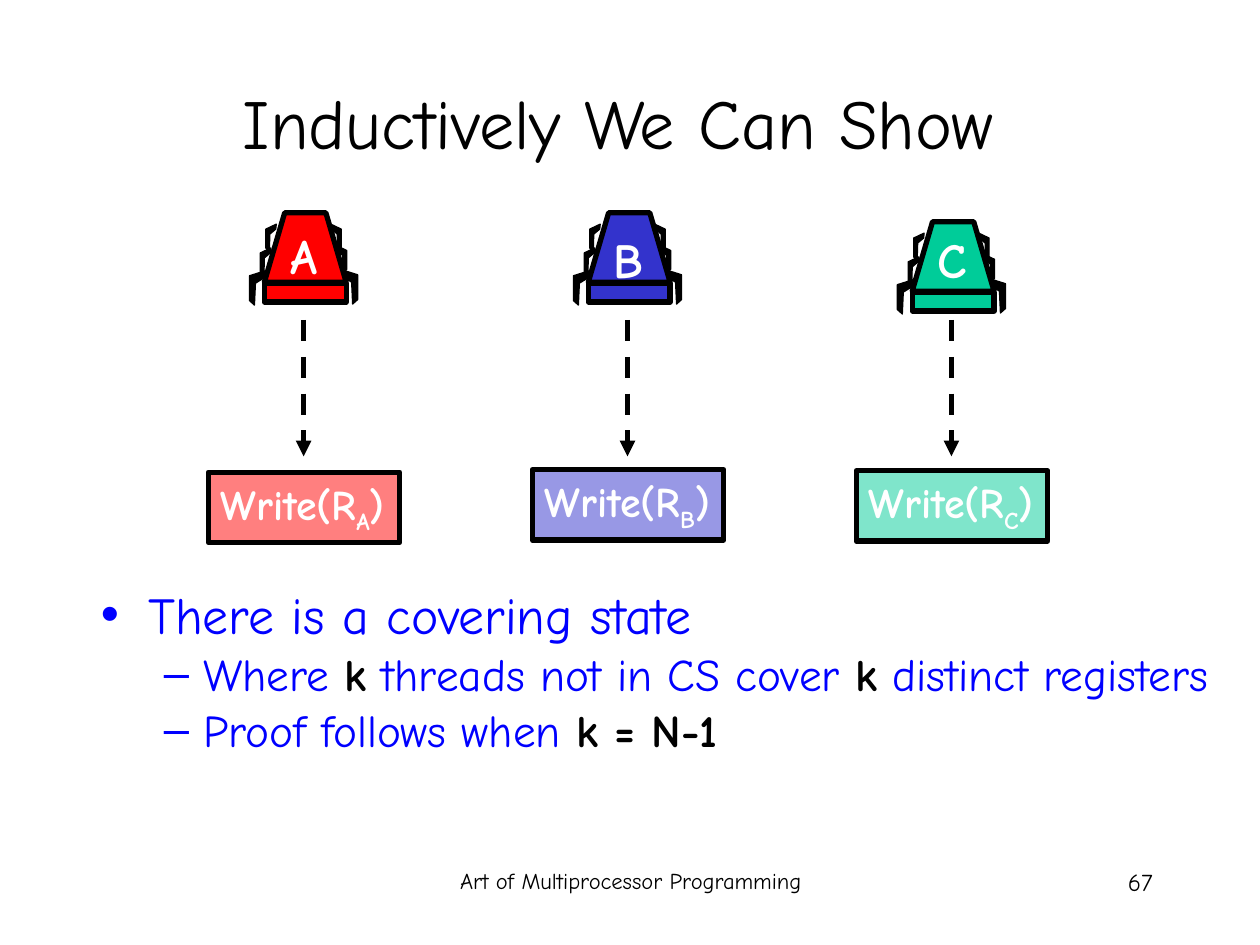
"""Build the slide on the inductive covering-state argument."""
from lxml.etree import SubElement
from pptx import Presentation
from pptx.dml.color import RGBColor
from pptx.enum.dml import MSO_LINE
from pptx.enum.shapes import MSO_CONNECTOR, MSO_SHAPE
from pptx.enum.text import MSO_ANCHOR, MSO_AUTO_SIZE, PP_ALIGN
from pptx.oxml.ns import qn
from pptx.util import Cm, Pt

FONT = "Comic Neue"
BLACK = RGBColor(0x00, 0x00, 0x00)
WHITE = RGBColor(0xFF, 0xFF, 0xFF)
BLUE = RGBColor(0x00, 0x00, 0xFF)
RED = RGBColor(0xFF, 0x00, 0x00)
INDIGO = RGBColor(0x33, 0x33, 0xCC)
GREEN = RGBColor(0x00, 0xCC, 0x99)


def add_run(paragraph, text, size, color, bold=False):
    run = paragraph.add_run()
    run.text = text
    run.font.name = FONT
    run.font.size = Pt(size)
    run.font.bold = bold
    run.font.color.rgb = color
    return run


def paint(shape, fill, line_width):
    shape.shadow.inherit = False
    shape.fill.solid()
    shape.fill.fore_color.rgb = fill
    shape.line.color.rgb = BLACK
    shape.line.width = Pt(line_width)


deck = Presentation()
deck.slide_width, deck.slide_height = Cm(25.4), Cm(19.05)
slide = deck.slides.add_slide(deck.slide_layouts[1])

title, claims = slide.placeholders
title.left, title.top, title.width, title.height = Cm(1.9), Cm(0.85), Cm(21.6), Cm(3.18)
title.text_frame.vertical_anchor = MSO_ANCHOR.MIDDLE
heading = title.text_frame.paragraphs[0]
heading.alignment = PP_ALIGN.CENTER
add_run(heading, "Inductively We Can Show ", 40, BLACK)

claims.left, claims.top, claims.width, claims.height = Cm(1.78), Cm(11.86), Cm(23.62), Cm(4.32)
claims.text_frame.auto_size = MSO_AUTO_SIZE.NONE
CLAIMS = [
    (0, [("There is a covering state", False)]),
    (1, [("Where ", False), ("k", True), (" threads not in CS cover ", False),
         ("k", True), (" distinct registers", False)]),
    (1, [("Proof follows when ", False), ("k = N-1", True)]),
]
LEVELS = [("•", 0.95, -0.95, 29.6), ("–", 2.06, -0.79, 25.9)]
for number, (level, pieces) in enumerate(CLAIMS):
    claim = claims.text_frame.add_paragraph() if number else claims.text_frame.paragraphs[0]
    mark, margin, indent, size = LEVELS[level]
    claim.level = level
    properties = claim._p.get_or_add_pPr()
    properties.set("marL", str(Cm(margin)))
    properties.set("indent", str(Cm(indent)))
    mark_color = SubElement(properties, qn("a:buClr"))
    SubElement(mark_color, qn("a:srgbClr")).set("val", str(BLUE))
    SubElement(properties, qn("a:buChar")).set("char", mark)
    claim.line_spacing = 0.8
    claim.space_before = Pt(7 if number else 0)
    for text, strong in pieces:
        add_run(claim, text, size, BLACK if strong else BLUE, strong)

FOOTERS = [
    ("Art of Multiprocessor Programming", 8.69, 8.05, 12.9, PP_ALIGN.CENTER),
    ("67", 18.21, 5.28, 14, PP_ALIGN.RIGHT),
]
for text, left, width, size, alignment in FOOTERS:
    footer = slide.shapes.add_textbox(Cm(left), Cm(17.35), Cm(width), Cm(1.27))
    footer.text_frame.word_wrap = True
    footer.text_frame.paragraphs[0].alignment = alignment
    add_run(footer.text_frame.paragraphs[0], text, size, BLACK)

LONG_LEG = [(0, 0), (0.35, 0.11), (0.35, 0.61), (0.25, 0.7), (0.23, 0.26), (0.02, 0.13)]
SHORT_LEG = [(0, 0), (0.21, 0.1), (0.21, 0.48), (0.14, 0.56), (0.13, 0.2), (0.01, 0.1)]
LEGS = [(LONG_LEG, 0.74, 1.14, 0.02), (SHORT_LEG, 0.66, 0.66, 0.05), (SHORT_LEG, 0.55, 0.23, 0)]
BODY = [(-0.79, 1.4), (-0.38, 0), (0.45, 0), (0.86, 1.4)]
THREADS = [("A", RED, 4.29, 4.42, 9.52), ("B", INDIGO, 4.29, 4.5, 9.47), ("C", GREEN, 4.47, 4.5, 9.49)]

for column, (letter, color, top, letter_top, write_top) in enumerate(THREADS):
    center = 6.12 + 6.53 * column

    outlines = []
    for leg, reach, height, left_drop in LEGS:
        for side, drop in ((1, 0), (-1, left_drop)):
            outlines.append(([(side * (reach + x), height + drop + y) for x, y in leg], BLACK, 0.75))
    outlines.insert(4, (BODY, color, 3))

    thread = slide.shapes.add_group_shape()
    for outline, fill, line_width in outlines:
        points = [(Cm(center + x), Cm(top + y)) for x, y in outline]
        builder = thread.shapes.build_freeform(*points[0])
        builder.add_line_segments(points[1:], close=True)
        paint(builder.convert_to_shape(), fill, line_width)
    base = thread.shapes.add_shape(
        MSO_SHAPE.RECTANGLE, Cm(center - 0.79), Cm(top + 1.42), Cm(1.65), Cm(0.38))
    paint(base, color, 3)

    label = thread.shapes.add_textbox(Cm(center - 0.54), Cm(letter_top), Cm(1.08), Cm(1.45))
    label.text_frame.word_wrap = False
    label.text_frame.paragraphs[0].alignment = PP_ALIGN.CENTER
    add_run(label.text_frame.paragraphs[0], letter, 28, WHITE, True)

    write = slide.shapes.add_shape(
        MSO_SHAPE.RECTANGLE, Cm(center - 1.92), Cm(write_top), Cm(3.86), Cm(1.42))
    paint(write, color, 3)
    tint = write.fill._xPr.find(qn("a:solidFill"))[0]
    SubElement(tint, qn("a:alpha")).set("val", "50000")
    write.text_frame.word_wrap = False
    write.text_frame.auto_size = MSO_AUTO_SIZE.SHAPE_TO_FIT_TEXT
    write.text_frame.vertical_anchor = MSO_ANCHOR.TOP
    call = write.text_frame.paragraphs[0]
    call.alignment = PP_ALIGN.LEFT
    add_run(call, "Write(R", 24, WHITE, True)
    register = add_run(call, letter, 24, WHITE, True)
    register.font._element.set("baseline", "-25000")
    add_run(call, ")", 24, WHITE, True)

    arrow = slide.shapes.add_connector(
        MSO_CONNECTOR.STRAIGHT, Cm(center), Cm(6.45), Cm(center), Cm(9.2))
    arrow.line.color.rgb = BLACK
    arrow.line.width = Pt(3)
    arrow.line.dash_style = MSO_LINE.DASH
    SubElement(arrow.line._get_or_add_ln(), qn("a:tailEnd")).set("type", "triangle")
    SubElement(arrow._element.spPr, qn("a:effectLst"))

deck.save("out.pptx")
